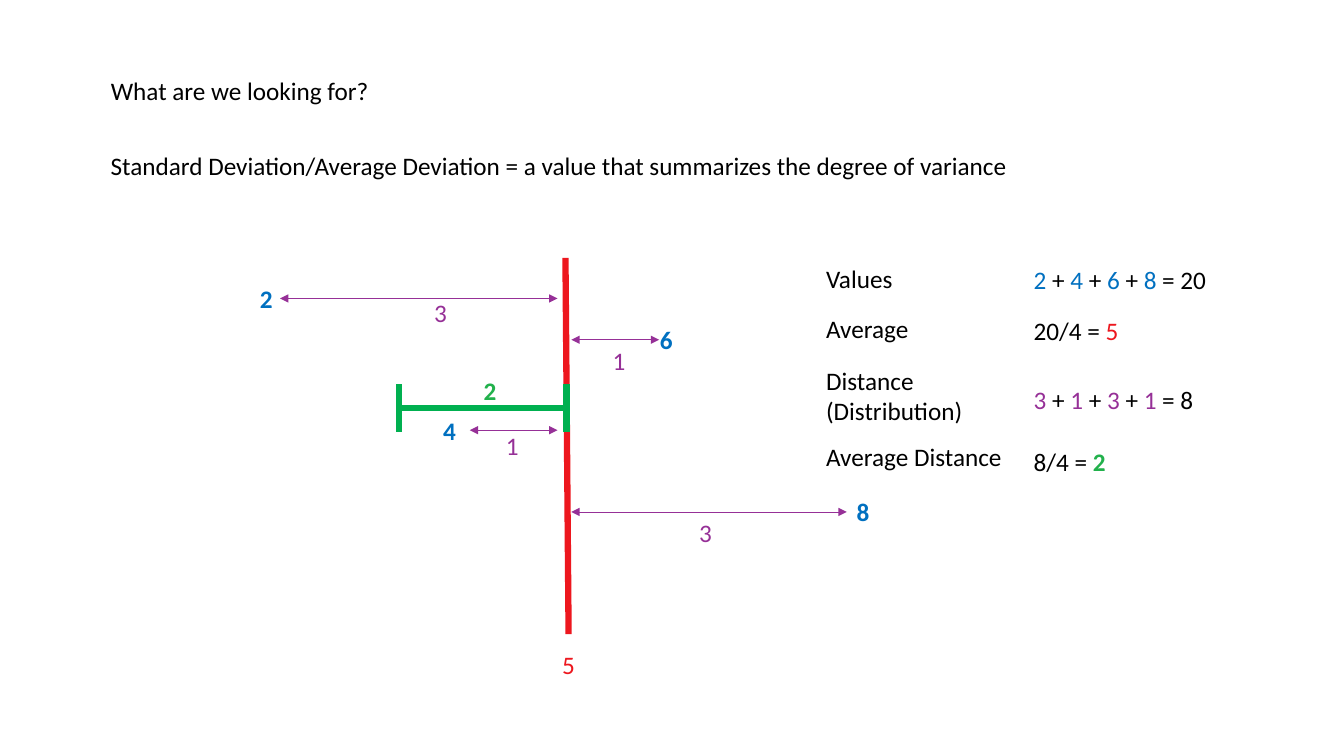
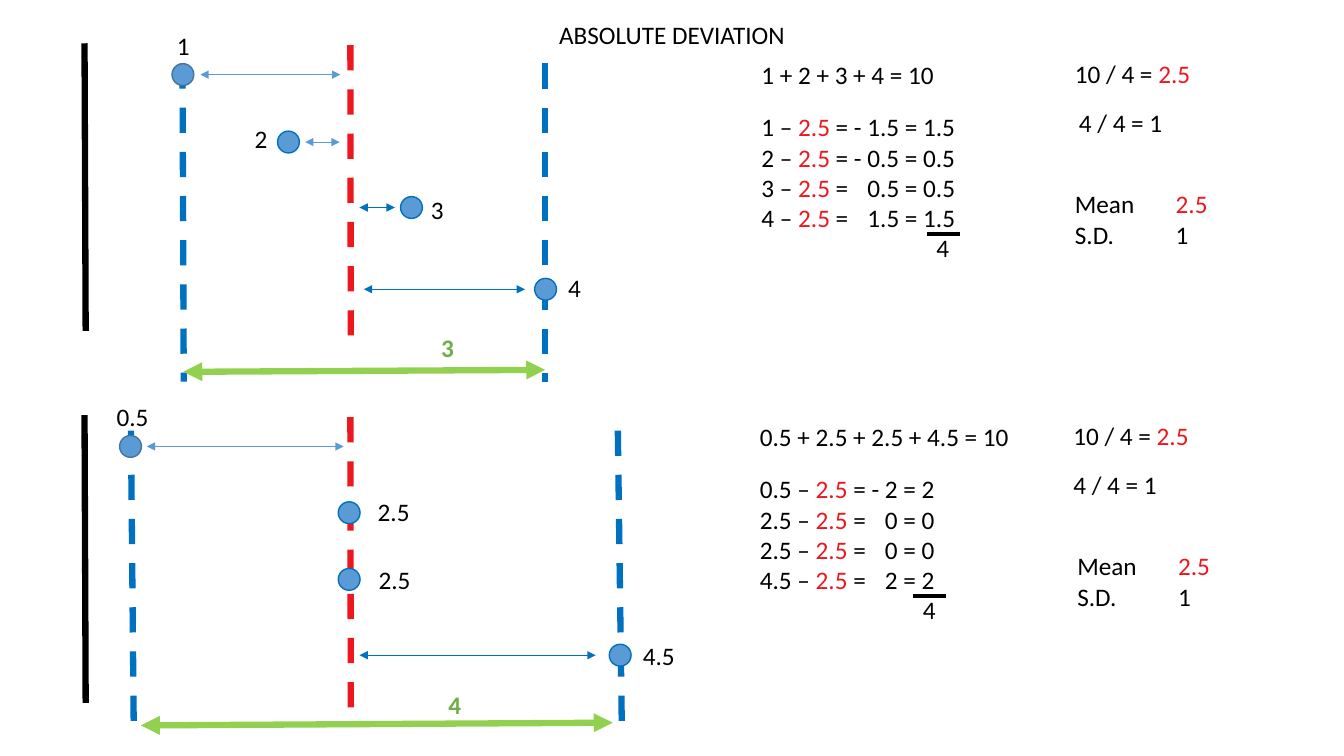
from pptx import Presentation
from pptx.dml.color import RGBColor
from pptx.enum.dml import MSO_LINE
from pptx.enum.shapes import MSO_CONNECTOR, MSO_SHAPE
from pptx.enum.text import MSO_ANCHOR, MSO_AUTO_SIZE, PP_ALIGN
from pptx.oxml.ns import qn
from pptx.util import Cm, Pt
from lxml import etree

STRAIGHT = MSO_CONNECTOR.STRAIGHT
OVAL = MSO_SHAPE.OVAL
DASH = MSO_LINE.DASH
TOP = MSO_ANCHOR.TOP
FIXED = MSO_AUTO_SIZE.NONE
LEFT, MIDDLE = PP_ALIGN.LEFT, PP_ALIGN.CENTER

BLACK = RGBColor(0x00, 0x00, 0x00)
RED = RGBColor(0xED, 0x17, 0x1E)
BLUE = RGBColor(0x00, 0x70, 0xC0)
SKY = RGBColor(0x5B, 0x9B, 0xD5)
STEEL = RGBColor(0x43, 0x73, 0x9E)
PURPLE = RGBColor(0x96, 0x30, 0x97)
GREEN = RGBColor(0x00, 0xB0, 0x50)
LEAF = RGBColor(0x22, 0xB1, 0x4C)
LIME = RGBColor(0x92, 0xD0, 0x50)
MOSS = RGBColor(0x70, 0xAD, 0x47)

FONT = "Calibri"
SIZE = 18
WIDE, HIGH = 33.87, 19.05
THICK, THIN = 4.5, 0.5
DOT = 0.55


def write(frame, *paras, color=BLACK, bold=False, align=LEFT, tabs=()):
    """Each paragraph is a string or a list of strings and (text, color) pairs."""
    frame.word_wrap = True
    frame.auto_size = FIXED
    frame.vertical_anchor = TOP
    for i, parts in enumerate(paras):
        para = frame.paragraphs[0] if i == 0 else frame.add_paragraph()
        if tabs:
            stops = etree.SubElement(para._p.get_or_add_pPr(), qn("a:tabLst"))
            for stop in tabs:
                etree.SubElement(stops, qn("a:tab"), pos=str(Cm(stop)), algn="l")
        para.alignment = align
        for part in [parts] if isinstance(parts, str) else parts:
            words, tint = (part, color) if isinstance(part, str) else part
            run = para.add_run()
            run.text = words
            run.font.name = FONT
            run.font.size = Pt(SIZE)
            run.font.bold = bold or tint == LEAF
            run.font.color.rgb = tint


def label(slide, x, y, *paras, w=2, h=1.03, **style):
    box = slide.shapes.add_textbox(Cm(x), Cm(y), Cm(w), Cm(h))
    write(box.text_frame, *paras, **style)


def line(slide, x1, y1, x2, y2, color, width=THICK, dash=None, arrow=False):
    link = slide.shapes.add_connector(STRAIGHT, Cm(x1), Cm(y1), Cm(x2), Cm(y2))
    link.line.color.rgb = color
    link.line.width = Pt(width)
    if dash:
        link.line.dash_style = dash
    if arrow:
        for end in ("a:headEnd", "a:tailEnd"):
            etree.SubElement(link.line._get_or_add_ln(), qn(end), type="triangle")
    etree.SubElement(link._element.spPr, qn("a:effectLst"))


def dot(slide, x, y, edge):
    mark = slide.shapes.add_shape(
        OVAL, Cm(x - DOT / 2), Cm(y - DOT / 2), Cm(DOT), Cm(DOT))
    mark.shadow.inherit = False
    mark.fill.solid()
    mark.fill.fore_color.rgb = SKY
    mark.line.color.rgb = edge
    mark.line.width = Pt(1)


def start(deck, words, x, y, w, align=LEFT):
    """Add a slide with its title."""
    slide = deck.slides.add_slide(deck.slide_layouts[5])
    title = slide.shapes.title
    title.left, title.top, title.width, title.height = Cm(x), Cm(y), Cm(w), Cm(1.03)
    write(title.text_frame, words, align=align)
    return slide


def mix(nums, color, total):
    """Join coloured numbers with plus signs, then add the total."""
    parts = []
    for num in nums:
        parts += [(num, color), " + "]
    return parts[:-1] + [" = " + total]


# Slide 1: distances from the mean line, whose top is at x, y
SPREAD = [  # value, its x, arrow y, arrow ends, distance, its x and y
    ("2", -7.99, 1.02, -7.23, -0.24, "3", -3.6, 0.86),
    ("4", -3.37, 4.34, -2.45, -0.24, "1", -1.79, 4.22),
    ("6", 2.09, 2.06, 0.11, 2.32, "1", 0.9, 2.08),
    ("8", 7.05, 6.4, 0.11, 7.05, "3", 3.08, 6.4),
]


def spread(slide, x, y):
    line(slide, x - 0.04, y, x + 0.04, y + 9.48, RED)
    label(slide, x - 0.37, y + 9.73, "5", color=RED)
    for value, vx, row, x1, x2, gap, gx, gy in SPREAD:
        line(slide, x + x1, y + row, x + x2, y + row, PURPLE, THIN, arrow=True)
        label(slide, x + vx, y + row - 0.51, value, color=BLUE, bold=True)
        label(slide, x + gx, y + gy, gap, color=PURPLE)
    # Average distance bracket
    line(slide, x - 4.16, y + 3.78, x + 0.04, y + 3.78, GREEN)
    for cap in (-4.24, -0.01):
        line(slide, x + cap, y + 3.18, x + cap, y + 4.39, GREEN)
    label(slide, x - 2.35, y + 2.84, "2", color=LEAF)


STEPS = [  # name lines, name y, sum, sum y
    (["Values"], 0, mix("2468", BLUE, "20"), 0.03),
    (["Average"], 1.27, ["20/4 = ", ("5", RED)], 1.32),
    (["Distance", "(Distribution)"], 2.57, mix("3131", PURPLE, "8"), 3.05),
    (["Average Distance"], 4.5, ["8/4 = ", ("2", LEAF)], 4.62),
]


def steps(slide, x, y):
    for names, top, total, low in STEPS:
        label(slide, x, y + top, *names, w=5.23, h=1.03 * len(names))
        label(slide, x + 5.23, y + low, total, w=6.6)


# Slide 2: one panel per data set
FIRST = dict(
    points=[  # value, dot x and y, label x and y, arrow ends
        ("1", 2.48, 0.79, 2.08, -0.46, (2.92, 6.45)),
        ("2", 5.14, 2.49, 4.04, 1.9, (5.56, 6.43)),
        ("3", 8.24, 4.14, 8.48, 3.68, (6.93, 7.82)),
        ("4", 11.62, 6.2, 11.94, 5.66, (7.04, 11.1)),
    ],
    guides=[(2.47, 0.51, 2.5, 8.53), (11.61, 0.51, 11.61, 8.53)],
    span=(2.49, 8.28, 11.61, 8.23),
    reach=("3", 8.74, 7.16),
)
SECOND = dict(
    points=[
        ("0.5", 1.16, 0.79, 0.56, -0.48, (1.57, 6.53)),
        ("2.5", 6.67, 2.46, 7.14, 1.93, None),
        ("2.5", 6.67, 4.14, 7.16, 3.63, None),
        ("4.5", 13.5, 6.05, 13.82, 5.54, (6.93, 12.88)),
    ],
    guides=[(1.17, 0.39, 1.24, 7.82), (13.44, 0.39, 13.54, 7.75)],
    span=(1.42, 7.82, 13.31, 7.75),
    reach=("4", 8.92, 6.78),
)


def plot(slide, x, y, points, guides, span, reach):
    line(slide, x, y, x + 0.03, y + 7.25, BLACK)
    line(slide, x + 6.7, y + 0.05, x + 6.71, y + 7.5, RED, dash=DASH)
    for x1, y1, x2, y2 in guides:
        line(slide, x + x1, y + y1, x + x2, y + y2, BLUE, dash=DASH)
    for i, (value, cx, cy, tx, ty, ends) in enumerate(points):
        dot(slide, x + cx, y + cy, BLUE if i else STEEL)
        label(slide, x + tx, y + ty, value)
        if ends:
            tint = SKY if cx < 6.7 else BLUE
            line(slide, x + ends[0], y + cy, x + ends[1], y + cy, tint, THIN, arrow=True)
    # Full range
    x1, y1, x2, y2 = span
    line(slide, x + x1, y + y1, x + x2, y + y2, LIME, arrow=True)
    value, tx, ty = reach
    label(slide, x + tx, y + ty, value, color=MOSS, bold=True)


def sums(slide, x, y, total, rows, tabs, bar, ratio, recap):
    mean = ("2.5", RED)
    label(slide, x, y, total, w=7.5)
    work = [[f"{value} – ", mean, f" ={rest}"] for value, rest in rows]
    label(slide, x, y + 1.32, *work, "\t\t4", w=6.5, h=4.11, tabs=tabs)
    line(slide, x + bar, y + 4.52, x + bar + 0.83, y + 4.52, BLACK, 3)
    # Mean and deviation
    label(slide, x + 7.9, y - 0.02, ["10 / 4 = ", mean], w=4)
    label(slide, x + ratio, y + 1.22, "4 / 4 = 1", w=4)
    label(slide, x + recap, y + 3.26, ["Mean\t", mean], "S.D.\t1",
          w=4.45, h=1.8, tabs=[2.54])


def main():
    deck = Presentation()
    deck.slide_width, deck.slide_height = Cm(WIDE), Cm(HIGH)

    slide = start(deck, "What are we looking for?", 2.54, 1.78, 8)
    label(slide, 2.54, 3.66, "Standard Deviation/Average Deviation = "
          "a value that summarizes the degree of variance", w=23.9)
    spread(slide, 14.29, 6.5)
    steps(slide, 20.57, 6.5)

    slide = start(deck, "ABSOLUTE DEVIATION", 0, 0.36, WIDE, MIDDLE)
    plot(slide, 2.13, 1.09, **FIRST)
    plot(slide, 2.13, 10.46, **SECOND)
    sums(slide, 18.94, 1.37, "1 + 2 + 3 + 4 = 10",
         [("1", " - 1.5 = 1.5"), ("2", " - 0.5 = 0.5"),
          ("3", "\t0.5 = 0.5"), ("4", "\t1.5 = 1.5")],
         tabs=[2.67, 4.41], bar=4.42, ratio=8, recap=7.9)
    sums(slide, 18.9, 10.49, "0.5 + 2.5 + 2.5 + 4.5 = 10",
         [("0.5", " - 2 = 2"), ("2.5", "\t0 = 0"),
          ("2.5", "\t0 = 0"), ("4.5", "\t2 = 2")],
         tabs=[3.15, 4.11], bar=4.1, ratio=7.9, recap=8)

    deck.save("out.pptx")


if __name__ == "__main__":
    main()
